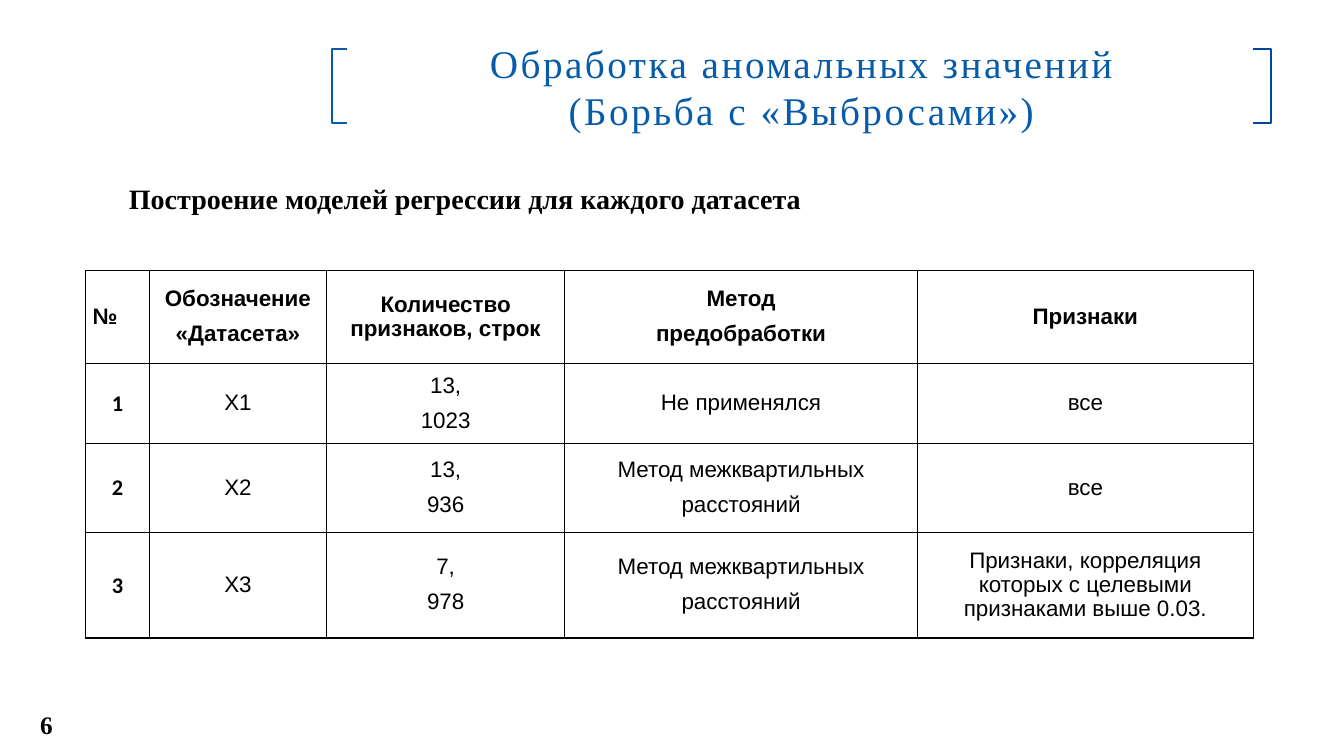
from lxml import etree
from pptx import Presentation
from pptx.dml.color import RGBColor
from pptx.enum import shapes, text
from pptx.oxml import ns
from pptx.util import Inches, Pt

BLUE = "065CAB"
SERIF = "Times New Roman"
COLUMNS = [0.63, 1.76, 2.36, 3.5, 3.33]
ROWS = [0.93, 0.79, 0.88, 1.05]
CELLS = [
    ["№", "Обозначение\n«Датасета»", "Количество признаков, строк",
     "Метод\nпредобработки", "Признаки"],
    ["1", "X1", "13,\n1023", "Не применялся", "все"],
    ["2", "X2", "13,\n936", "Метод межквартильных\nрасстояний", "все"],
    ["3", "X3", "7,\n978", "Метод межквартильных\nрасстояний",
     "Признаки, корреляция которых с целевыми признаками выше 0.03."],
]


def color(value):
    return RGBColor.from_string(value)


def write(tf, content, size=16, font="Arial", fill="000000", bold=False,
          center=False, after=0, leading=None, spacing=0):
    tf.word_wrap = True
    for i, line in enumerate(content.split("\n")):
        p = tf.add_paragraph() if i else tf.paragraphs[0]
        p.alignment = text.PP_ALIGN.CENTER if center else text.PP_ALIGN.LEFT
        p.space_after = Pt(after)
        p.line_spacing = leading
        r = p.add_run()
        r.text = line
        r.font.size = Pt(size)
        r.font.name = font
        r.font.bold = bold
        r.font.color.rgb = color(fill)
        if spacing:
            r.font._element.set("spc", str(round(spacing * 100)))


def add_label(s, content, left, top, width, height, **style):
    sp = s.shapes.add_textbox(Inches(left), Inches(top), Inches(width), Inches(height))
    write(sp.text_frame, content, font=SERIF, bold=True, **style)
    return sp


def add_title(s, content, left, top, width, height):
    sp = s.shapes.add_shape(shapes.MSO_SHAPE.RECTANGLE, Inches(left), Inches(top),
                            Inches(width), Inches(height))
    sp.shadow.inherit = False
    sp.fill.solid()
    sp.fill.fore_color.rgb = color("FFFFFF")
    sp.line.color.rgb = color("FFFFFF")
    sp.line.width = Pt(2)
    sp.text_frame.vertical_anchor = text.MSO_ANCHOR.MIDDLE
    write(sp.text_frame, content, size=28, font=SERIF, fill=BLUE, center=True, spacing=1.8)


def add_bracket(s, tip, edge, top, bottom, line):
    points = [(Inches(x), Inches(y)) for x, y in
              [(tip, top), (edge, top), (edge, bottom), (tip, bottom)]]
    builder = s.shapes.build_freeform(*points[0])
    builder.add_line_segments(points[1:], close=False)
    sp = builder.convert_to_shape()
    sp.shadow.inherit = False
    sp.fill.background()
    sp.line.color.rgb = color(line)
    sp.line.width = Pt(1.3)


def add_borders(cell):
    tcPr = cell._tc.get_or_add_tcPr()
    for i, side in enumerate(("lnL", "lnR", "lnT", "lnB")):
        ln = etree.Element(ns.qn(f"a:{side}"), w=str(Pt(1)))
        fill = etree.SubElement(ln, ns.qn("a:solidFill"))
        etree.SubElement(fill, ns.qn("a:srgbClr"), val="000000")
        tcPr.insert(i, ln)


def add_datasets(s, left, top):
    frame = s.shapes.add_table(len(ROWS), len(COLUMNS), Inches(left), Inches(top),
                               Inches(sum(COLUMNS)), Inches(sum(ROWS)))
    table = frame.table
    for column, width in zip(table.columns, COLUMNS):
        column.width = Inches(width)
    for row, height in zip(table.rows, ROWS):
        row.height = Inches(height)
    for i, row in enumerate(CELLS):
        for j, content in enumerate(row):
            cell = table.cell(i, j)
            cell.fill.background()
            cell.vertical_anchor = text.MSO_ANCHOR.MIDDLE
            cell.margin_left = cell.margin_right = Inches(0.07)
            cell.margin_top = cell.margin_bottom = 0
            write(cell.text_frame, content, font="Calibri" if i and not j else "Arial",
                  bold=i == 0 or j == 0, center=i + j > 0, after=8, leading=0.96)
            add_borders(cell)


def main():
    prs = Presentation()
    prs.slide_width, prs.slide_height = Inches(13.33), Inches(7.5)
    s = prs.slides.add_slide(prs.slide_layouts[6])
    number = add_label(s, "6", 0.3, 7.04, 0.69, 0.3, size=18)
    number.text_frame.vertical_anchor = text.MSO_ANCHOR.MIDDLE
    add_title(s, "Обработка аномальных значений\n(Борьба с «Выбросами»)",
              3.29, 0.49, 9.32, 0.73)
    add_bracket(s, 3.44, 3.29, 0.49, 1.22, BLUE)
    add_bracket(s, 12.43, 12.61, 0.49, 1.22, "0046A2")
    add_label(s, "Построение моделей регрессии для каждого датасета",
              1.18, 1.75, 9.32, 0.44, size=20)
    add_datasets(s, 0.85, 2.68)
    prs.save("out.pptx")


if __name__ == "__main__":
    main()
